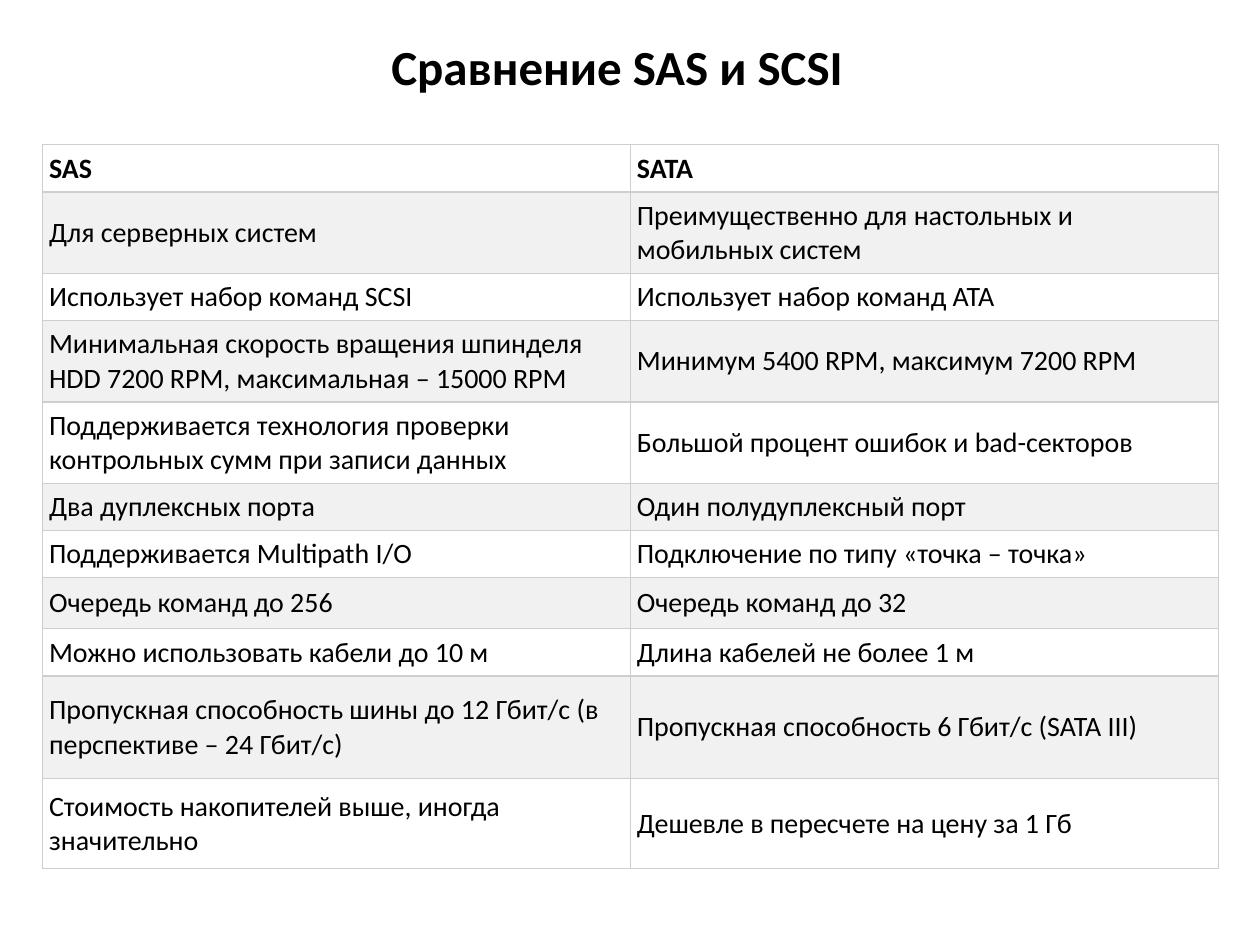
from lxml import etree
from pptx import Presentation
from pptx.dml.color import RGBColor
from pptx.enum.text import MSO_ANCHOR, PP_ALIGN
from pptx.oxml.ns import qn
from pptx.util import Cm, Pt

MIDDLE = MSO_ANCHOR.MIDDLE
CENTER = PP_ALIGN.CENTER
TITLE_ONLY = 5

COLORS = {"text": "000000", "plain": "FFFFFF", "band": "F1F1F1", "border": "CECECD"}
TITLE_FONT = {"name": "Calibri", "size": Pt(28), "bold": True}
HEADER_FONT = {"name": "Calibri", "size": Pt(16), "bold": True}
BODY_FONT = {**HEADER_FONT, "bold": False}
CELL_FORMAT = {
    "vertical_anchor": MIDDLE,
    "margin_left": Cm(0.13),
    "margin_right": Cm(0.13),
    "margin_top": Cm(0.13),
    "margin_bottom": Cm(0.13),
}
TITLE_BOX = {"left": Cm(1.12), "top": Cm(0.76), "width": Cm(22.86), "height": Cm(1.12)}
COLUMN_WIDTH = 11.85

COMPARISON = [
    (0.94, "SAS", "SATA"),
    (1.64, "Для серверных систем", "Преимущественно для настольных и мобильных систем"),
    (0.94, "Использует набор команд SCSI", "Использует набор команд ATA"),
    (1.64, "Минимальная скорость вращения шпинделя HDD 7200 RPM, максимальная – 15000 RPM",
     "Минимум 5400 RPM, максимум 7200 RPM"),
    (1.64, "Поддерживается технология проверки контрольных сумм при записи данных",
     "Большой процент ошибок и bad-секторов"),
    (0.94, "Два дуплексных порта", "Один полудуплексный порт"),
    (0.94, "Поддерживается Multipath I/O", "Подключение по типу «точка – точка»"),
    (1.03, "Очередь команд до 256", "Очередь команд до 32"),
    (0.94, "Можно использовать кабели до 10 м", "Длина кабелей не более 1 м"),
    (2.07, "Пропускная способность шины до 12 Гбит/с (в перспективе – 24 Гбит/с)",
     "Пропускная способность 6 Гбит/с (SATA III)"),
    (1.81, "Стоимость накопителей выше, иногда значительно",
     "Дешевле в пересчете на цену за 1 Гб"),
]


def apply_format(target, values):
    """Set each named attribute on the target."""
    for name, value in values.items():
        setattr(target, name, value)


def write_text(frame, wording, font_format):
    """Write one formatted paragraph into a text frame."""
    paragraph = frame.paragraphs[0]
    run = paragraph.add_run()
    run.text = wording
    apply_format(run.font, font_format)
    run.font.color.rgb = RGBColor.from_string(COLORS["text"])
    return paragraph


def add_borders(cell):
    """Draw a thin line on all four sides of a cell."""
    properties = cell._tc.get_or_add_tcPr()
    for side in ("lnL", "lnR", "lnT", "lnB"):
        line = etree.SubElement(properties, qn(f"a:{side}"), w=str(Pt(0.75)))
        fill = etree.SubElement(line, qn("a:solidFill"))
        etree.SubElement(fill, qn("a:srgbClr"), val=COLORS["border"])


def fill_cell(cell, wording, font_format, fill_color):
    """Give a cell its borders, fill and wording."""
    apply_format(cell, CELL_FORMAT)
    add_borders(cell)
    cell.fill.solid()
    cell.fill.fore_color.rgb = RGBColor.from_string(fill_color)
    write_text(cell.text_frame, wording, font_format)


def add_title(slide, wording):
    """Place and format the slide title."""
    title = slide.shapes.title
    apply_format(title, TITLE_BOX)
    title.text_frame.vertical_anchor = MIDDLE
    write_text(title.text_frame, wording, TITLE_FONT).alignment = CENTER


def add_comparison(slide):
    """Build the two-column banded comparison table."""
    total_height = sum(height for height, *_ in COMPARISON)
    table = slide.shapes.add_table(
        len(COMPARISON), 2, Cm(0.86), Cm(2.92), Cm(2 * COLUMN_WIDTH), Cm(total_height)
    ).table
    for column in table.columns:
        column.width = Cm(COLUMN_WIDTH)
    for row_index, (height, *wordings) in enumerate(COMPARISON):
        table.rows[row_index].height = Cm(height)
        font_format = BODY_FONT if row_index else HEADER_FONT
        fill_color = COLORS["band" if row_index % 2 else "plain"]
        for column_index, wording in enumerate(wordings):
            fill_cell(table.cell(row_index, column_index), wording, font_format, fill_color)


def main():
    """Build and save the slide."""
    presentation = Presentation()
    presentation.slide_width, presentation.slide_height = Cm(25.4), Cm(19.05)
    slide = presentation.slides.add_slide(presentation.slide_layouts[TITLE_ONLY])
    add_title(slide, "Сравнение SAS и SCSI ")
    add_comparison(slide)
    presentation.save("out.pptx")


if __name__ == "__main__":
    main()
